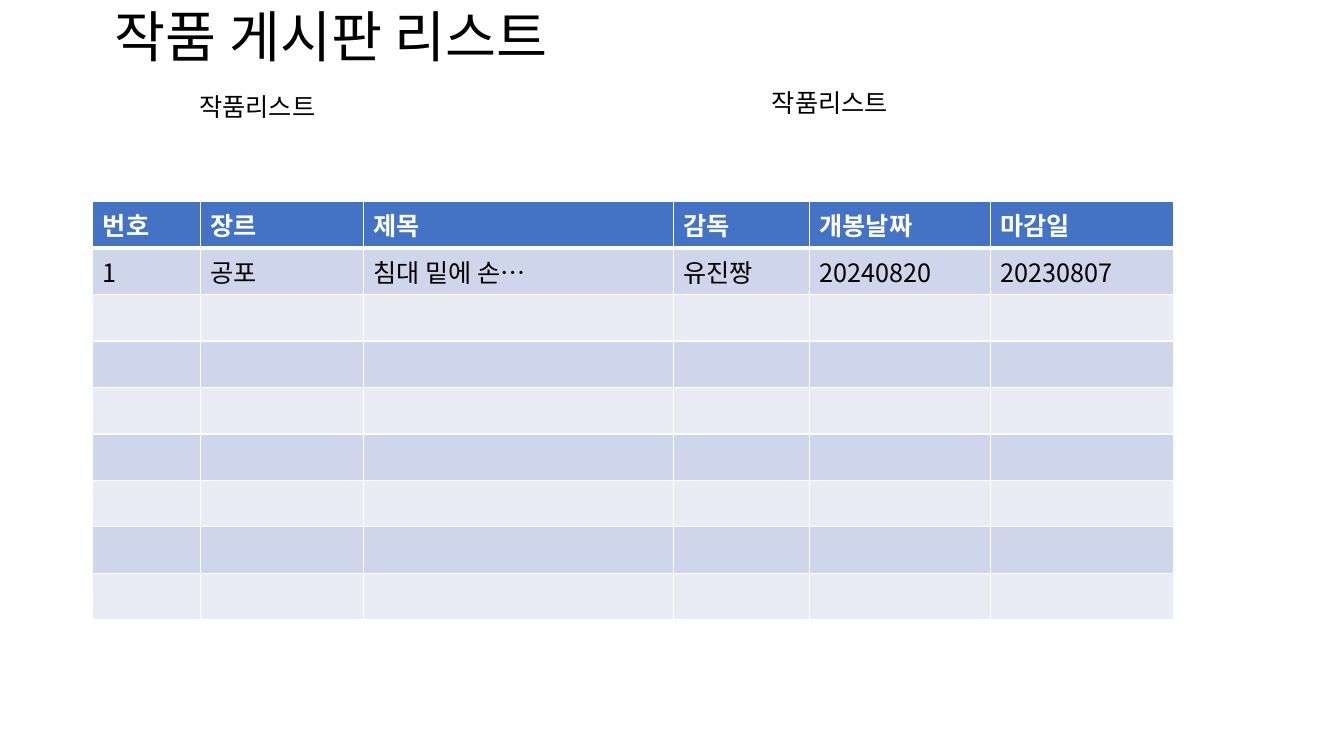
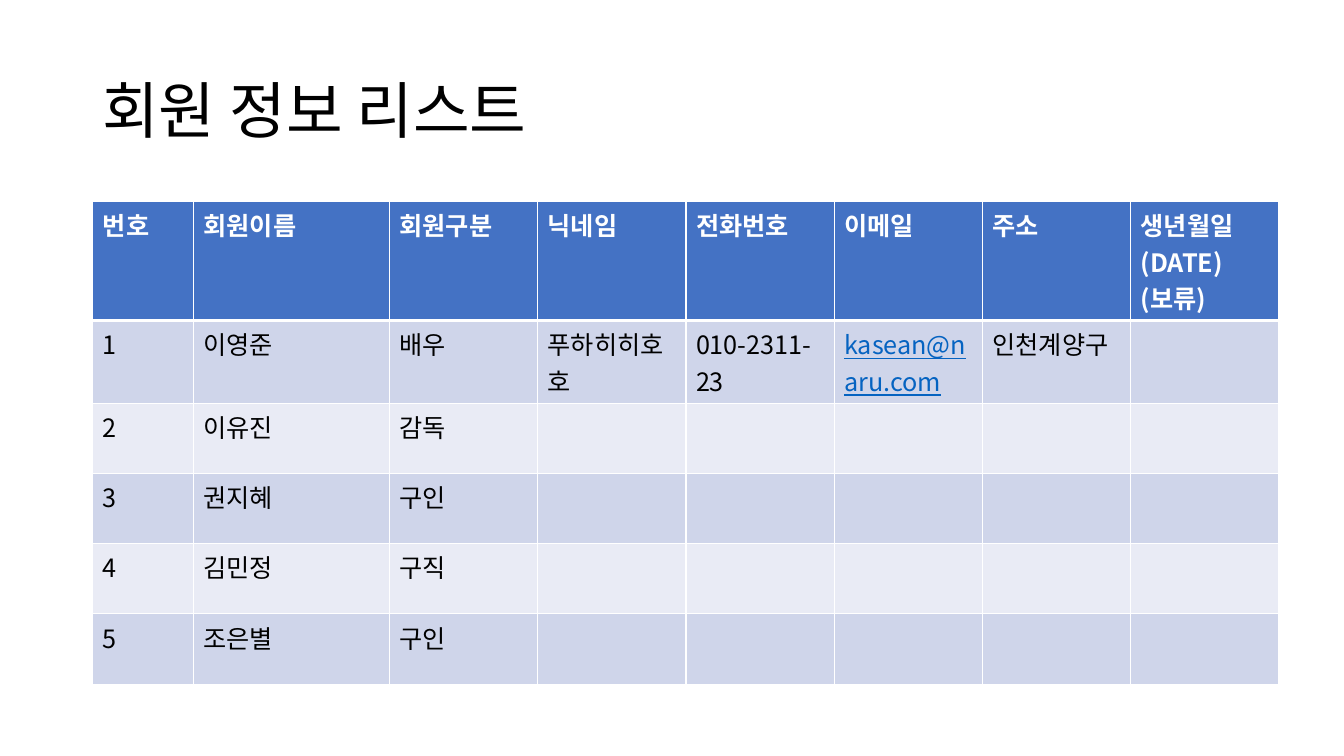
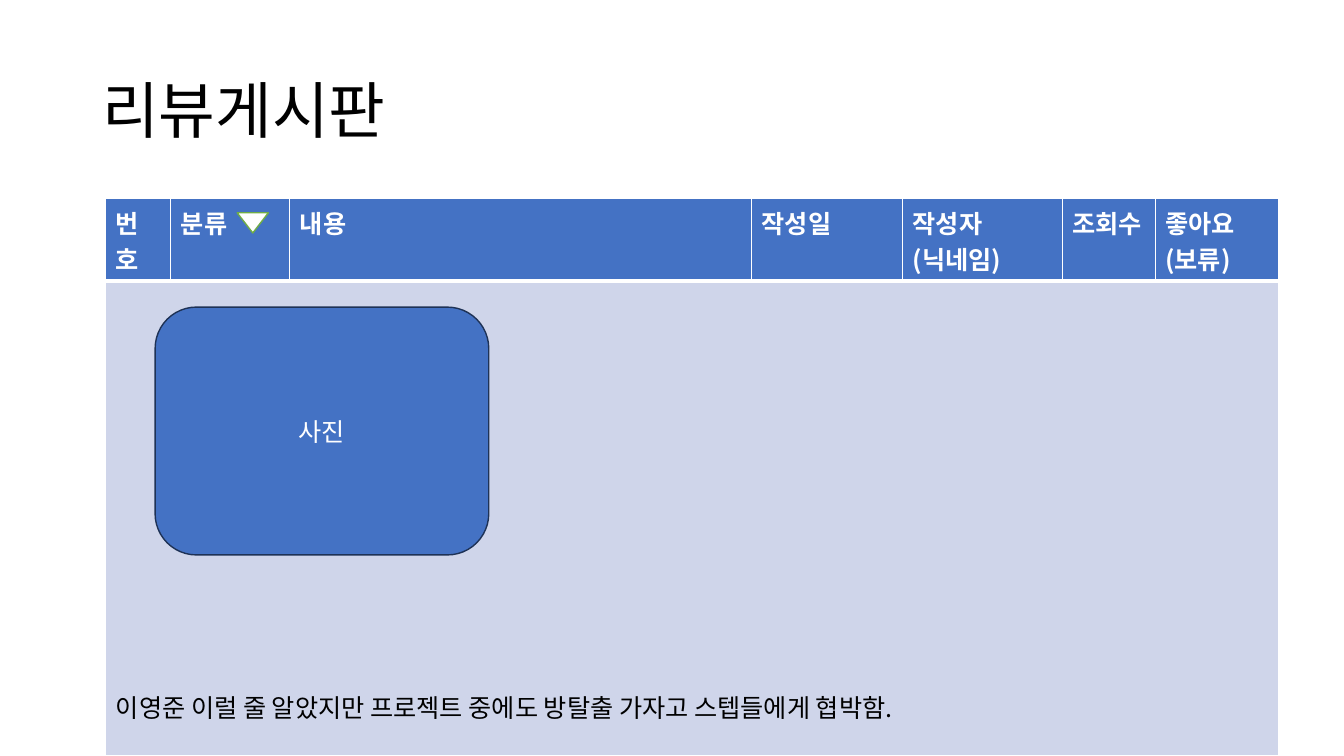
from dataclasses import dataclass
from itertools import accumulate

from lxml.etree import SubElement
from pptx import Presentation
from pptx.dml.color import RGBColor
from pptx.enum.shapes import MSO_SHAPE
from pptx.enum.text import MSO_ANCHOR, PP_ALIGN
from pptx.oxml.ns import qn
from pptx.shapes.autoshape import Shape
from pptx.slide import Slide
from pptx.table import Table, _Cell
from pptx.text.text import TextFrame
from pptx.util import Pt

FONT = "Noto Sans CJK KR"
COLORS = {
    "text": "000000", "white": "FFFFFF", "header": "4472C4",
    "band_dark": "CFD5EA", "band_light": "E9EBF5", "link": "0563C1",
    "photo_line": "1E3256", "arrow_line": "70AD47",
}


@dataclass
class Box:
    """A rectangle in points."""
    left: float
    top: float
    width: float
    height: float


@dataclass
class Grid:
    """A table: its corner, column widths, row heights and leading cell texts."""
    left: float
    top: float
    widths: list[float]
    heights: list[float]
    rows: list[list[str]]


def rgb(name: str) -> RGBColor:
    """Look up a colour by name."""
    return RGBColor.from_string(COLORS[name])


def style_text(tf: TextFrame, color: str, size: float = 18, bold: bool = False,
               underline: bool = False) -> None:
    """Set one font on every paragraph, for Latin and Korean letters."""
    for p in tf.paragraphs:
        p.font.name, p.font.size = FONT, Pt(size)
        p.font.bold, p.font.underline = bold, underline
        p.font.color.rgb = rgb(color)
        props = p._p.pPr.find(qn("a:defRPr"))
        SubElement(props, qn("a:ea"), typeface=FONT)


def add_text(slide: Slide, box: Box, text: str, size: float = 18) -> TextFrame:
    """Add a wrapping text box."""
    sp = slide.shapes.add_textbox(Pt(box.left), Pt(box.top), Pt(box.width), Pt(box.height))
    tf = sp.text_frame
    tf.word_wrap = True
    tf.text = text
    style_text(tf, "text", size)
    return tf


def add_title(slide: Slide, text: str, box: Box = Box(66, 28.75, 828, 104.4),
              size: float = 44) -> None:
    """Add the slide title, centred vertically in its box."""
    tf = add_text(slide, box, text, size)
    tf.vertical_anchor = MSO_ANCHOR.MIDDLE
    tf.paragraphs[0].line_spacing = 0.9


def add_shape(slide: Slide, kind: MSO_SHAPE, box: Box, fill: str, line: str) -> Shape:
    """Add a flat preset shape with a thin outline."""
    sp = slide.shapes.add_shape(kind, Pt(box.left), Pt(box.top), Pt(box.width), Pt(box.height))
    sp.shadow.inherit = False
    sp.fill.solid()
    sp.fill.fore_color.rgb = rgb(fill)
    sp.line.color.rgb = rgb(line)
    sp.line.width = Pt(1)
    return sp


def set_borders(cell: _Cell, row: int) -> None:
    """Draw white cell borders, thick between the header and the body."""
    props = cell._tc.get_or_add_tcPr()
    widths = {"L": 1, "R": 1, "T": 3 if row == 1 else 1, "B": 3 if row == 0 else 1}
    for side, width in widths.items():
        ln = SubElement(props, qn(f"a:ln{side}"), w=str(Pt(width)))
        SubElement(SubElement(ln, qn("a:solidFill")), qn("a:srgbClr"), val=COLORS["white"])


def add_grid(slide: Slide, grid: Grid) -> Table:
    """Add a table with a blue header and banded body rows."""
    frame = slide.shapes.add_table(
        len(grid.heights), len(grid.widths), Pt(grid.left), Pt(grid.top),
        Pt(sum(grid.widths)), Pt(sum(grid.heights)))
    table = frame.table
    table.first_row = table.horz_banding = False
    for column, width in zip(table.columns, grid.widths):
        column.width = Pt(width)
    for i, height in enumerate(grid.heights):
        table.rows[i].height = Pt(height)
        texts = grid.rows[i] if i < len(grid.rows) else []
        fill = "header" if i == 0 else "band_dark" if i % 2 else "band_light"
        for j, cell in enumerate(table.rows[i].cells):
            set_borders(cell, i)
            cell.fill.solid()
            cell.fill.fore_color.rgb = rgb(fill)
            cell.text = texts[j] if j < len(texts) else ""
            is_link = "@" in cell.text
            color = "white" if i == 0 else "link" if is_link else "text"
            style_text(cell.text_frame, color, bold=i == 0, underline=is_link)
    return table


def build_works(slide: Slide) -> None:
    """Build the list of works."""
    for left, top in ((135.35, 62), (544.3, 59)):
        add_text(slide, Box(left, top, 304, 29), "작품리스트")
    add_title(slide, "작품 게시판 리스트", Box(75, 9.35, 703, 38), 39.6)
    add_grid(slide, Grid(66.25, 144, [77, 116.4, 221.4, 97.2, 129.3, 130.7], [33.2] * 9, [
        ["번호", "장르", "제목", "감독", "개봉날짜", "마감일"],
        ["1", "공포", "침대 밑에 손…", "유진짱", "20240820", "20230807"],
    ]))


def build_members(slide: Slide) -> None:
    """Build the list of members."""
    add_title(slide, "회원 정보 리스트")
    heights = [85, 59] + [50.2] * 4
    add_grid(slide, Grid(66.25, 144, [72, 140] + [105.9] * 6, heights, [
        ["번호", "회원이름", "회원구분", "닉네임", "전화번호", "이메일", "주소",
         "생년월일\n(DATE)\n(보류)"],
        ["1", "이영준", "배우", "푸하히히호호", "010-2311-23", "kasean@naru.com", "인천계양구"],
        ["2", "이유진", "감독"],
        ["3", "권지혜", "구인"],
        ["4", "김민정", "구직"],
        ["5", "조은별", "구인"],
    ]))


def build_reviews(slide: Slide) -> None:
    """Build the review board with its photo area."""
    add_title(slide, "리뷰게시판")
    grid = Grid(75.6, 142, [46.4, 85, 330, 107.8, 114, 66.4, 88.2], [58.5, 339.5], [
        ["번호", "분류", "내용", "작성일", "작성자(닉네임)", "조회수", "좋아요(보류)"],
        ["이영준 이럴 줄 알았지만 프로젝트 중에도 방탈출 가자고 스텝들에게 협박함."],
    ])
    table = add_grid(slide, grid)
    review = table.cell(1, 0)
    review.merge(table.cell(1, len(grid.widths) - 1))
    review.margin_top = Pt(291)

    category_right = grid.left + list(accumulate(grid.widths))[1]
    arrow = add_shape(slide, MSO_SHAPE.ISOSCELES_TRIANGLE,
                      Box(category_right - 37.6, 152, 22.3, 14.4), "white", "arrow_line")
    arrow.rotation = 180
    photo = add_shape(slide, MSO_SHAPE.ROUNDED_RECTANGLE, Box(110.8, 219.4, 238.3, 177),
                      "header", "photo_line")
    tf = photo.text_frame
    tf.text = "사진"
    tf.vertical_anchor = MSO_ANCHOR.MIDDLE
    tf.paragraphs[0].alignment = PP_ALIGN.CENTER
    style_text(tf, "white")


prs = Presentation()
prs.slide_width, prs.slide_height = Pt(960), Pt(540)
for build in (build_works, build_members, build_reviews):
    build(prs.slides.add_slide(prs.slide_layouts[6]))
prs.save("out.pptx")
